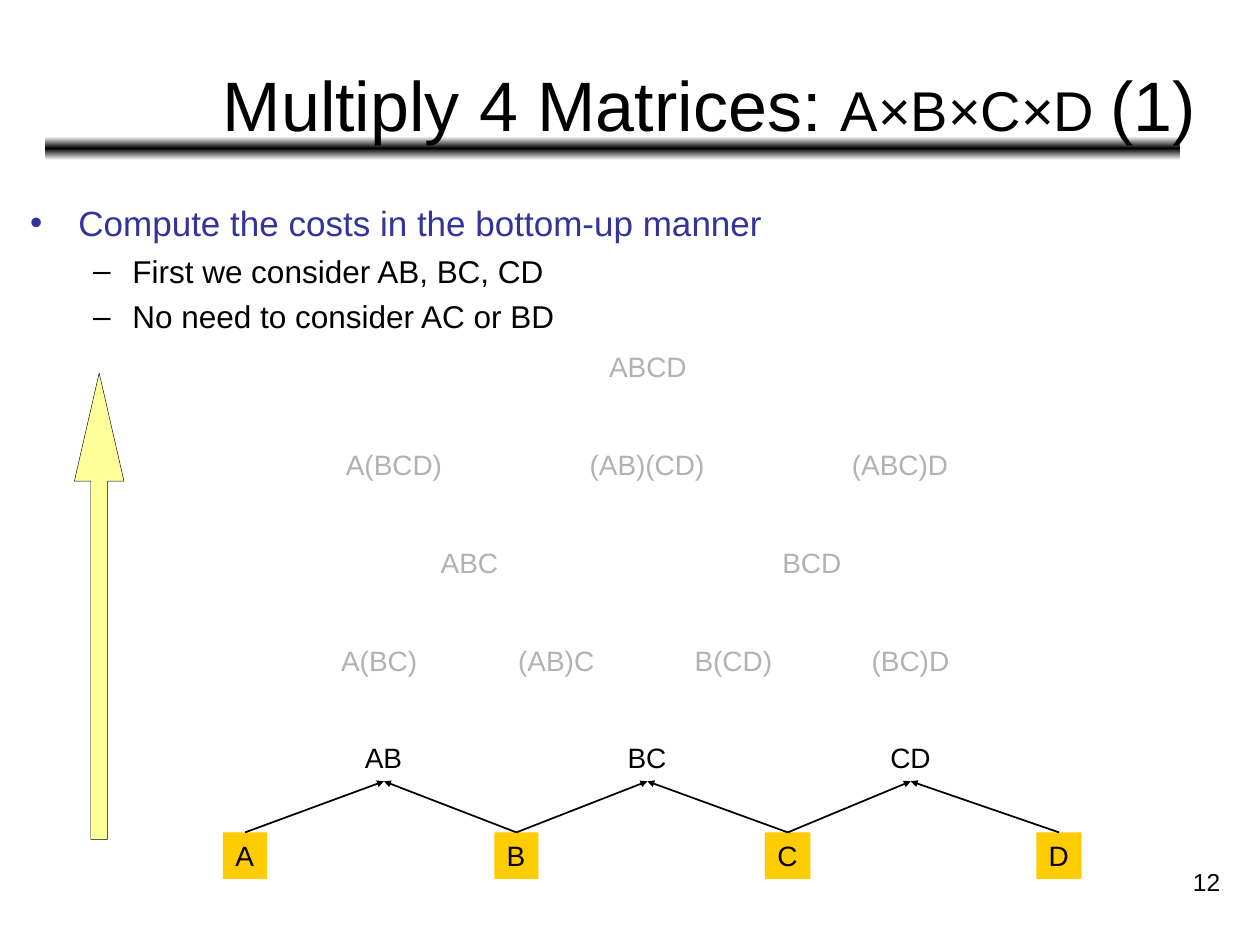
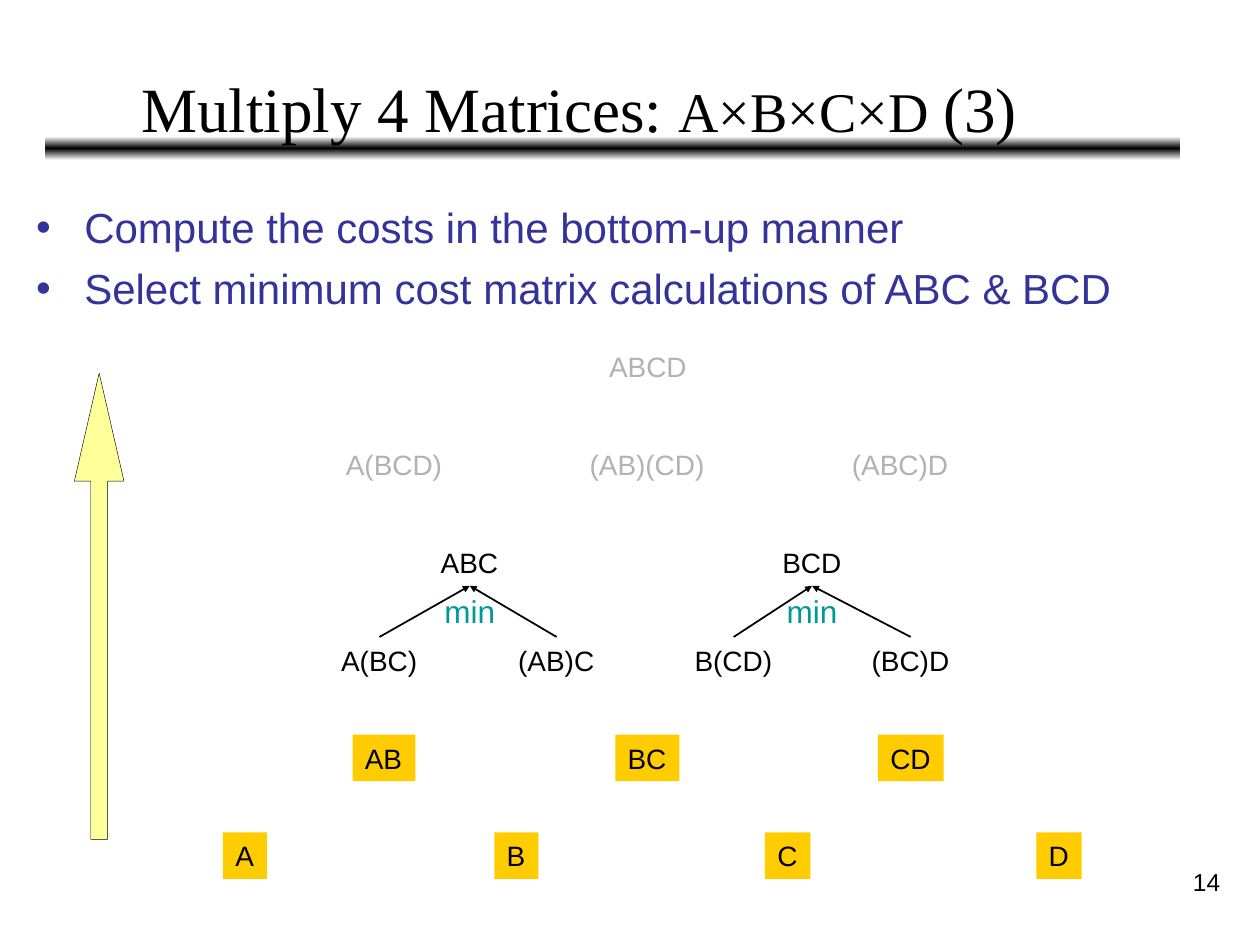
from copy import deepcopy

from lxml.etree import SubElement
from pptx import Presentation
from pptx.dml.color import RGBColor
from pptx.enum.shapes import MSO_CONNECTOR, MSO_SHAPE
from pptx.enum.text import MSO_ANCHOR, MSO_AUTO_SIZE, PP_ALIGN
from pptx.oxml.ns import qn
from pptx.util import Cm, Pt

COLORS = {
    "text": "000000", "paper": "FFFFFF", "point": "333399", "pending": "B2B2B2",
    "done": "FFCC00", "arrow": "FFFF99", "min": "009999",
}

# Tree rows from top to bottom: labels, first centre and step in cm
ROWS = [
    (["ABCD"], 8.57, 0),
    (["A(BCD)", "(AB)(CD)", "(ABC)D"], 3.45, 5.1),
    (["ABC", "BCD"], 4.97, 6.9),
    (["A(BC)", "(AB)C", "B(CD)", "(BC)D"], 3.15, 3.57),
    (["AB", "BC", "CD"], 3.24, 5.31),
    (["A", "B", "C", "D"], 0.44, 5.47),
]
ROW_STEP, NODE_H, NODE_SIZE = 1.97, 0.94, 16
CHAR_EM = {"A": 0.67, "B": 0.67, "C": 0.72, "D": 0.72, "(": 0.33, ")": 0.33}

# Numbers of the rows, and the bullet style of each level
PAIRS, LEAVES, TRIPLES, SPLITS = 4, 5, 2, 3
BULLETS = [("•", "point", 0.97, -0.97), ("–", "text", 2.06, -0.79)]

# A label stays on one line in a box that follows its text
LABEL = {"word_wrap": False, "auto_size": MSO_AUTO_SIZE.SHAPE_TO_FIT_TEXT}


def rgb(name):
    return RGBColor.from_string(COLORS[name])


def apply(target, formats):
    for key, value in formats.items():
        setattr(target, key, value)


def add_run(p, text, size, color="text", name="Arial"):
    r = p.add_run()
    r.text = text
    apply(r.font, {"size": Pt(size), "name": name})
    r.font.color.rgb = rgb(color)


def add_text_box(s, box, **formats):
    sp = s.shapes.add_textbox(*map(Cm, box))
    apply(sp.text_frame, {"word_wrap": True, **formats})
    return sp


def add_filled(s, kind, box, color):
    sp = s.shapes.add_shape(kind, *map(Cm, box))
    sp.shadow.inherit = False
    sp.fill.solid()
    sp.fill.fore_color.rgb = rgb(color)
    sp.line.fill.background()
    return sp


def add_band(s, box):
    """Rule under the title that fades to white above and below."""
    sp = add_filled(s, MSO_SHAPE.ROUNDED_RECTANGLE, box, "text")
    sp.fill.gradient()
    sp.fill.gradient_angle = 90
    stops = sp.element.spPr.find(qn("a:gradFill")).find(qn("a:gsLst"))
    stops.append(deepcopy(stops[0]))
    for stop, (place, color) in zip(
            sp.fill.gradient_stops, [(0, "paper"), (0.5, "text"), (1, "paper")]):
        stop.position = place
        stop.color.rgb = rgb(color)


def add_title(s, box, number, size, name, align, anchor):
    p = add_text_box(s, box, vertical_anchor=anchor).text_frame.paragraphs[0]
    p.alignment = align
    for text, points in [("Multiply 4 Matrices: ", size), ("A×B×C×D ", 32),
                         (f"({number})", size)]:
        add_run(p, text, points, name=name)


def add_page_number(s, box, number):
    p = add_text_box(s, box).text_frame.paragraphs[0]
    p.alignment = PP_ALIGN.RIGHT
    add_run(p, str(number), 14)


def add_points(s, box, points):
    """Bulleted lines, each given as level, size and text."""
    tf = add_text_box(s, box).text_frame
    for i, (level, size, text) in enumerate(points):
        p = tf.add_paragraph() if i else tf.paragraphs[0]
        apply(p, {"level": level, "space_before": Pt(size / 4)})
        char, color, margin, indent = BULLETS[level]
        pPr = p._p.get_or_add_pPr()
        pPr.set("marL", str(Cm(margin)))
        pPr.set("indent", str(Cm(indent)))
        SubElement(SubElement(pPr, qn("a:buClr")), qn("a:srgbClr"), val=COLORS[color])
        SubElement(pPr, qn("a:buFont"), typeface="Arial")
        SubElement(pPr, qn("a:buChar"), char=char)
        add_run(p, text, size, color)


def add_up_arrow(s, box):
    sp = add_filled(s, MSO_SHAPE.UP_ARROW, box, "arrow")
    sp.adjustments[0], sp.adjustments[1] = 0.34, 2.18
    sp.line.color.rgb = rgb("text")
    sp.line.width = Pt(0.25)


def add_node(s, label, center, top, state):
    """One product: pending (grey), current (black) or done (filled box)."""
    width = sum(CHAR_EM[c] for c in label) * Pt(NODE_SIZE).cm + 0.51
    box = (center - width / 2, top, width, NODE_H)
    if state == "done":
        sp = add_filled(s, MSO_SHAPE.RECTANGLE, box, "done")
    else:
        sp = add_text_box(s, box)
    apply(sp.text_frame, LABEL)
    p = sp.text_frame.paragraphs[0]
    p.alignment = PP_ALIGN.LEFT
    add_run(p, label, NODE_SIZE, "pending" if state == "pending" else "text")
    return sp


def add_min(s, parent):
    """Mark the choice between two splits, centred under their product."""
    center = (parent.left + parent.width / 2) / Cm(1)
    bottom = (parent.top + parent.height) / Cm(1)
    sp = add_text_box(s, (center - 1, bottom, 2, 1.02), **LABEL)
    p = sp.text_frame.paragraphs[0]
    p.alignment = PP_ALIGN.CENTER
    add_run(p, "min", 18, "min")


def join(s, child, parent):
    cxn = s.shapes.add_connector(MSO_CONNECTOR.STRAIGHT, 0, 0, 0, 0)
    cxn.begin_connect(child, 0)
    cxn.end_connect(parent, 2)
    cxn.line.color.rgb = rgb("text")
    cxn.line.width = Pt(1)
    spPr = cxn._element.spPr
    SubElement(spPr.find(qn("a:ln")), qn("a:tailEnd"), type="triangle", w="sm", len="sm")
    SubElement(spPr, qn("a:effectLst"))


def add_tree(s, left, top, states, child_row, parent_row, links, with_min):
    nodes = [
        [add_node(s, label, left + first + i * step, top + row * ROW_STEP, state)
         for i, label in enumerate(labels)]
        for row, ((labels, first, step), state) in enumerate(zip(ROWS, states))
    ]
    for child, parent in links:
        join(s, nodes[child_row][child], nodes[parent_row][parent])
    if with_min:
        for parent in nodes[parent_row]:
            add_min(s, parent)


def add_step_slide(prs, page, title, body_left, points, tree):
    s = prs.slides.add_slide(prs.slide_layouts[6])
    add_band(s, (0.91, 2.75, 22.89, 0.48))
    add_page_number(s, (19.57, 17.35, 5.28, 1.27), page)
    add_title(s, **title)
    add_points(s, (body_left, 3.94, 23.77, 3), points)
    add_tree(s, 4.5, 6.93, **tree)
    add_up_arrow(s, (1.5, 7.52, 1, 9.4))


def main():
    prs = Presentation()
    prs.slide_width, prs.slide_height = Cm(25.4), Cm(19.05)

    # Step 1: products of two matrices
    add_step_slide(
        prs, 12,
        dict(box=(3.2, 1.12, 22.2, 1.93), number=1, size=40, name="Arial",
             align=PP_ALIGN.CENTER, anchor=MSO_ANCHOR.MIDDLE),
        0.36,
        [(0, 20, "Compute the costs in the bottom-up manner"),
         (1, 18, "First we consider AB, BC, CD"),
         (1, 18, "No need to consider AC or BD")],
        dict(states=["pending"] * 4 + ["current", "done"],
             child_row=LEAVES, parent_row=PAIRS, with_min=False,
             links=[(pair + side, pair) for pair in range(3) for side in range(2)]))

    # Step 3: cheapest products of three matrices
    add_step_slide(
        prs, 14,
        dict(box=(2.6, 1.12, 22.2, 1.93), number=3, size=36, name="Times New Roman",
             align=PP_ALIGN.LEFT, anchor=MSO_ANCHOR.BOTTOM),
        0.48,
        [(0, 24, "Compute the costs in the bottom-up manner"),
         (0, 24, "Select minimum cost matrix calculations of ABC & BCD")],
        dict(states=["pending"] * 2 + ["current"] * 2 + ["done"] * 2,
             child_row=SPLITS, parent_row=TRIPLES, with_min=True,
             links=[(split, split // 2) for split in range(4)]))

    prs.save("out.pptx")


if __name__ == "__main__":
    main()
